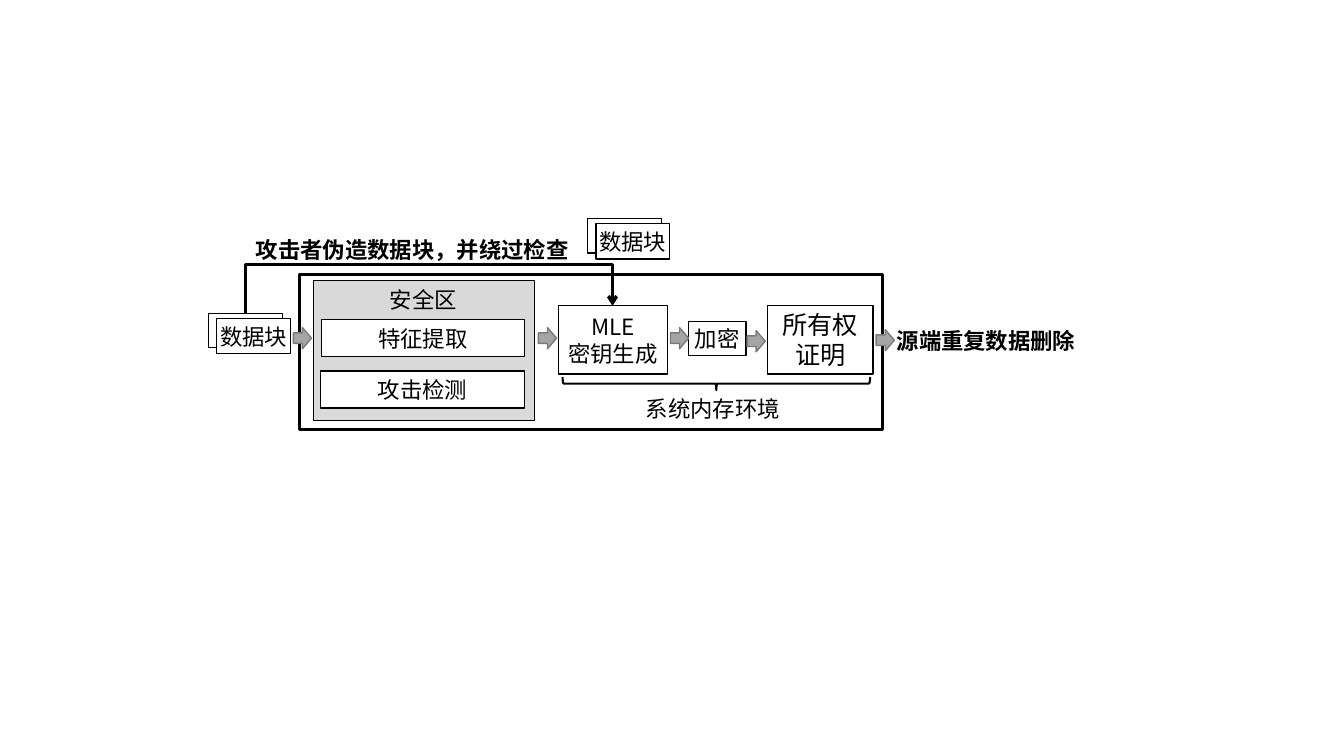
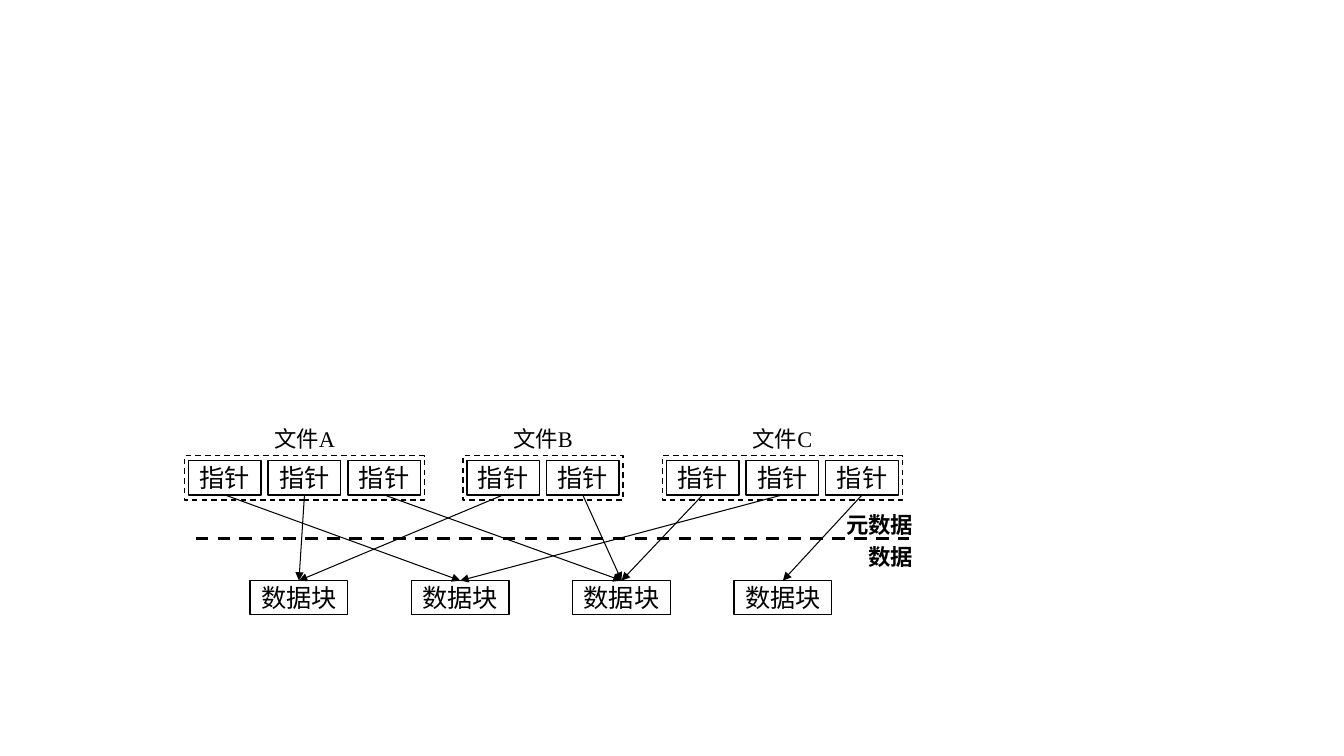
from typing import NamedTuple

import lxml.etree
import pptx
import pptx.dml.color
import pptx.enum.dml
import pptx.enum.shapes
import pptx.enum.text
import pptx.oxml.ns
import pptx.util

Inches = pptx.util.Inches
Pt = pptx.util.Pt
ShapeType = pptx.enum.shapes.MSO_SHAPE
ConnectorType = pptx.enum.shapes.MSO_CONNECTOR
qn = pptx.oxml.ns.qn

BLACK = "000000"
WHITE = "FFFFFF"
ZONE_GRAY = "D9D9D9"
ARROW_GRAY = "A5A5A5"
ARROW_EDGE = "7A7A7A"
CHINESE_FONT = "Noto Sans CJK SC"
LATIN_FONT = "Times New Roman"


class Box(NamedTuple):
    left: float
    top: float
    width: float
    height: float


class TextStyle(NamedTuple):
    font: str
    size: float
    bold: bool = False


class Step(NamedTuple):
    text: str
    box: Box
    style: TextStyle


class File(NamedTuple):
    name: str
    left: float
    targets: tuple[int, ...]


FLOW_TEXT = TextStyle(CHINESE_FONT, 16)
FLOW_LARGE = TextStyle(CHINESE_FONT, 18)
FLOW_BOLD = TextStyle(CHINESE_FONT, 16, True)
FILE_TEXT = TextStyle(LATIN_FONT, 16)
FILE_LARGE = TextStyle(LATIN_FONT, 18)
FILE_BOLD = TextStyle(LATIN_FONT, 16, True)

STEPS = (
    Step("特征提取", Box(3.19, 3.17, 2.01, 0.37), FLOW_TEXT),
    Step("攻击检测", Box(3.18, 3.68, 2.02, 0.37), FLOW_TEXT),
    Step("MLE\n密钥生成", Box(5.54, 3.03, 1.08, 0.68), FLOW_TEXT),
    Step("加密", Box(6.83, 3.19, 0.57, 0.34), FLOW_TEXT),
    Step("所有权\n证明", Box(7.61, 3.03, 1.05, 0.68), FLOW_LARGE),
)
FLOW_LABELS = (
    Step("安全区", Box(3.76, 2.79, 0.88, 0.37), FLOW_TEXT),
    Step("源端重复数据删除", Box(8.74, 3.19, 2.08, 0.37), FLOW_BOLD),
    Step("系统内存环境", Box(6.03, 3.87, 2.08, 0.37), FLOW_TEXT),
    Step("攻击者伪造数据块，并绕过检查", Box(2.36, 2.29, 3.46, 0.37), FLOW_BOLD),
)
FLOW_ARROWS = ((2.91, 3.25), (5.34, 3.25), (6.65, 3.25), (7.41, 3.28), (8.69, 3.27))
BLOCK_STACKS = ((2.07, 3.11), (5.83, 2.17))

FILES = (
    File("文件A", 1.83, (1, 0, 2)),
    File("文件B", 4.59, (0, 2)),
    File("文件C", 6.57, (2, 1, 3)),
)
BLOCK_COUNT = 4
BLOCK_LEFT, BLOCK_STEP = 2.48, 1.6
POINTER_WIDTH, POINTER_STEP = 0.72, 0.79
FRAME_MARGIN = 0.04


def rgb(color: str) -> pptx.dml.color.RGBColor:
    return pptx.dml.color.RGBColor.from_string(color)


def inches(box: Box) -> list[int]:
    return [Inches(length) for length in box]


def write_text(shape, text: str, style: TextStyle) -> None:
    frame = shape.text_frame
    frame.text = text
    frame.word_wrap = False
    frame.vertical_anchor = pptx.enum.text.MSO_ANCHOR.MIDDLE
    frame.margin_left = frame.margin_right = 0
    frame.margin_top = frame.margin_bottom = 0
    for paragraph in frame.paragraphs:
        paragraph.alignment = pptx.enum.text.PP_ALIGN.CENTER
        paragraph.font.name = style.font
        paragraph.font.size = Pt(style.size)
        paragraph.font.bold = style.bold
        paragraph.font.color.rgb = rgb(BLACK)
        defaults = paragraph._p.pPr.find(qn("a:defRPr"))
        lxml.etree.SubElement(defaults, qn("a:ea"), typeface=CHINESE_FONT)


def add_label(shapes, label: Step) -> None:
    write_text(shapes.add_textbox(*inches(label.box)), label.text, label.style)


def add_shape(shapes, kind, box: Box, fill: str | None = WHITE,
              line: str = BLACK, width: float = 1):
    shape = shapes.add_shape(kind, *inches(box))
    shape.shadow.inherit = False
    if fill:
        shape.fill.solid()
        shape.fill.fore_color.rgb = rgb(fill)
    else:
        shape.fill.background()
    shape.line.color.rgb = rgb(line)
    shape.line.width = Pt(width)
    return shape


def add_text_box(shapes, step: Step):
    """Add an outlined rectangle that holds its own text."""
    shape = add_shape(shapes, ShapeType.RECTANGLE, step.box)
    write_text(shape, step.text, step.style)
    return shape


def add_line(shapes, kind, start: tuple[float, float], end: tuple[float, float],
             width: float, arrowhead: str | None = None):
    connector = shapes.add_connector(
        kind, *(Inches(length) for length in (*start, *end)))
    connector.line.color.rgb = rgb(BLACK)
    connector.line.width = Pt(width)
    properties = connector._element.spPr
    lxml.etree.SubElement(properties, qn("a:effectLst"))
    if arrowhead:
        line = properties.find(qn("a:ln"))
        lxml.etree.SubElement(line, qn("a:tailEnd"), type=arrowhead)
    return connector


def add_block_stack(shapes, left: float, top: float) -> None:
    add_shape(shapes, ShapeType.RECTANGLE, Box(left, top, 0.73, 0.34))
    add_text_box(shapes, Step("数据块", Box(left + 0.08, top + 0.05, 0.73, 0.35), FLOW_TEXT))


def add_bypass(shapes) -> None:
    """Add the elbow that rises over the frame and drops onto key generation."""
    connector = add_line(shapes, ConnectorType.ELBOW, (4.29, 4.89), (4.22, 1.25),
                         2.25, "arrow")
    properties = connector._element.spPr
    properties.find(qn("a:xfrm")).set("rot", "5400000")
    geometry = properties.find(qn("a:prstGeom"))
    adjustments = geometry.find(qn("a:avLst"))
    if adjustments is None:
        adjustments = lxml.etree.SubElement(geometry, qn("a:avLst"))
    lxml.etree.SubElement(adjustments, qn("a:gd"), name="adj1", fmla="val 688800")


def build_attack_slide(slide) -> None:
    shapes = slide.shapes.add_group_shape().shapes
    add_shape(shapes, ShapeType.RECTANGLE, Box(3.11, 2.78, 2.19, 1.39), ZONE_GRAY)
    add_shape(shapes, ShapeType.RECTANGLE, Box(2.97, 2.72, 5.78, 1.54), None, width=2.25)
    for step in STEPS:
        add_text_box(shapes, step)
    brace = add_shape(shapes, ShapeType.LEFT_BRACE, Box(7.04, 2.28, 0.13, 3.05),
                      None, width=1.5)
    brace.rotation = 270
    for left, top in FLOW_ARROWS:
        add_shape(shapes, ShapeType.RIGHT_ARROW, Box(left, top, 0.18, 0.21),
                  ARROW_GRAY, ARROW_EDGE)
    add_bypass(shapes)
    for left, top in BLOCK_STACKS:
        add_block_stack(shapes, left, top)
    for label in FLOW_LABELS:
        add_label(shapes, label)


def add_file(shapes, file: File, blocks: list) -> None:
    """Add a file's frame, name and pointers, each linked to its data block."""
    count = len(file.targets)
    width = (count - 1) * POINTER_STEP + POINTER_WIDTH + 2 * FRAME_MARGIN
    frame = add_shape(shapes, ShapeType.RECTANGLE, Box(file.left, 4.52, width, 0.44), None)
    frame.line.dash_style = pptx.enum.dml.MSO_LINE.DASH
    name_left = file.left + (width - 0.89) / 2
    add_label(shapes, Step(file.name, Box(name_left, 4.17, 0.89, 0.37), FILE_TEXT))
    for index, target in enumerate(file.targets):
        left = file.left + FRAME_MARGIN + index * POINTER_STEP
        pointer = add_text_box(
            shapes, Step("指针", Box(left, 4.57, POINTER_WIDTH, 0.34), FILE_LARGE))
        link = add_line(shapes, ConnectorType.STRAIGHT, (0, 0), (1, 1), 0.75, "triangle")
        link.begin_connect(pointer, 2)
        link.end_connect(blocks[target], 0)


def build_pointer_slide(slide) -> None:
    shapes = slide.shapes
    blocks = [
        add_text_box(shapes, Step("数据块", Box(BLOCK_LEFT + index * BLOCK_STEP, 5.76, 0.97, 0.34),
                                  FILE_LARGE))
        for index in range(BLOCK_COUNT)
    ]
    for file in FILES:
        add_file(shapes, file, blocks)
    divider = add_line(shapes, ConnectorType.STRAIGHT, (1.94, 5.34), (9.02, 5.34), 2.25)
    divider.line.dash_style = pptx.enum.dml.MSO_LINE.DASH
    add_label(shapes, Step("元数据", Box(8.28, 5.02, 0.89, 0.37), FILE_BOLD))
    add_label(shapes, Step("数据", Box(8.5, 5.34, 0.67, 0.37), FILE_BOLD))


def main() -> None:
    presentation = pptx.Presentation()
    presentation.slide_width = Inches(13.33)
    presentation.slide_height = Inches(7.5)
    blank_layout = presentation.slide_layouts[6]
    for build in (build_attack_slide, build_pointer_slide):
        build(presentation.slides.add_slide(blank_layout))
    presentation.save("out.pptx")


if __name__ == "__main__":
    main()
